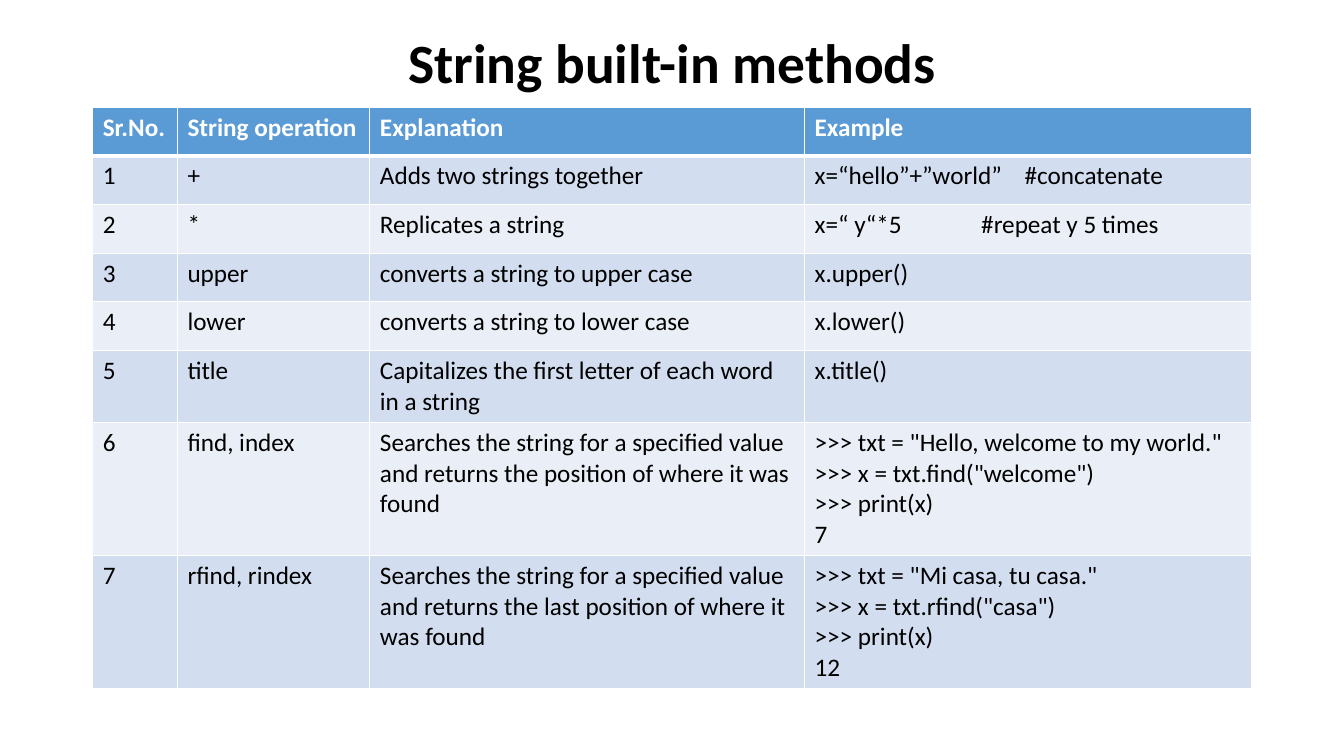
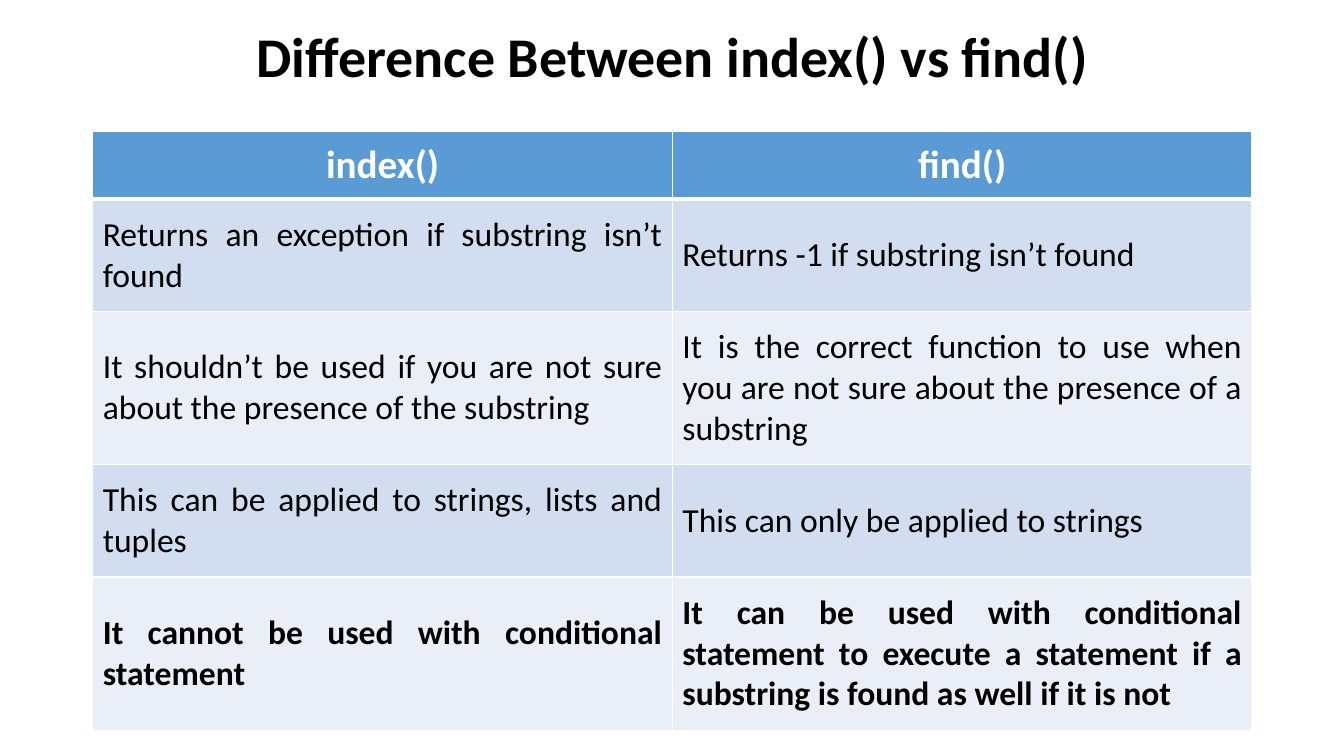
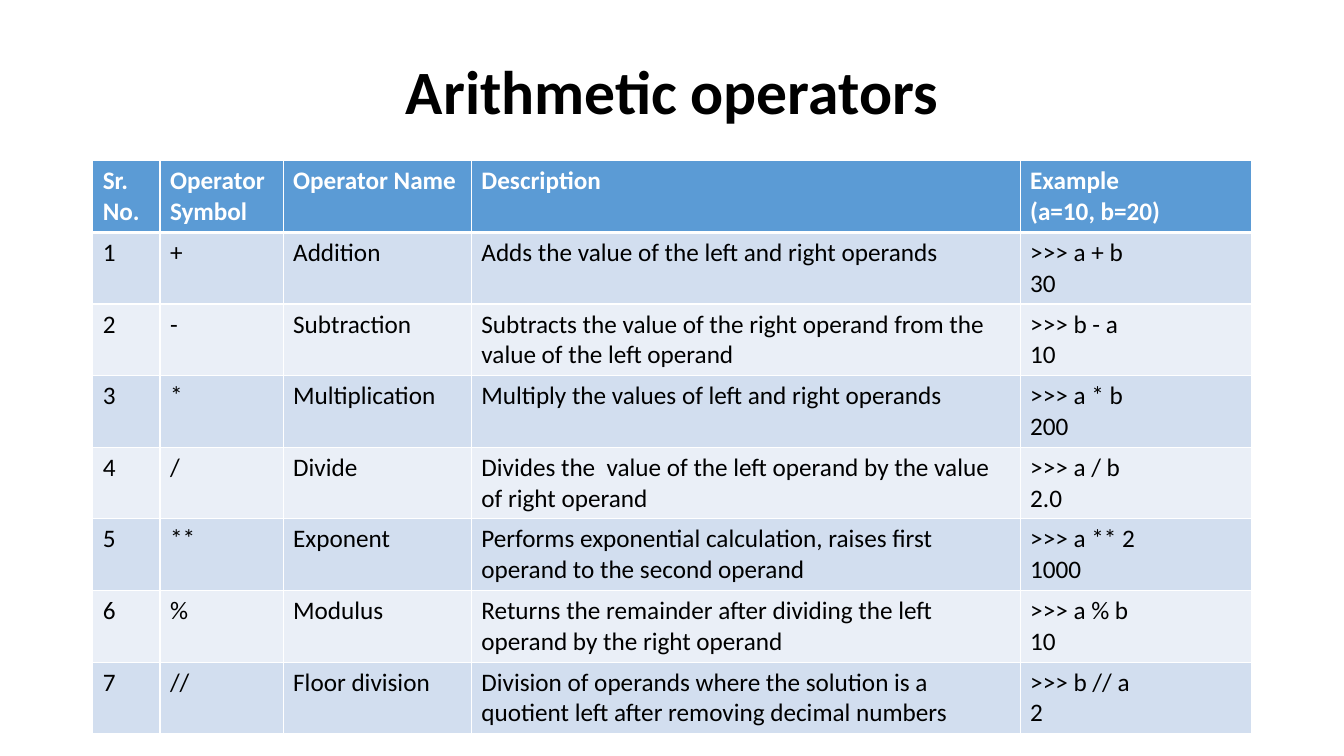
"""Build three slides of Python string and operator tables."""
from dataclasses import dataclass
from lxml.etree import SubElement
from pptx import Presentation
from pptx.dml.color import RGBColor
from pptx.enum.text import MSO_ANCHOR, MSO_AUTO_SIZE, PP_ALIGN
from pptx.oxml.ns import qn
from pptx.util import Pt


@dataclass(frozen=True)
class Theme:
    font: str = "Calibri"
    ink: str = "000000"
    white: str = "FFFFFF"
    head: str = "5B9BD5"
    bands: tuple = ("D2DEEF", "EAEFF7")
    left: float = 66.25
    width: float = 828
    line: float = 1.22
    rule: float = 1
    thick: float = 3
    small: float = 18
    body: float = 24
    large: float = 28


THEME = Theme()
BASE = dict(
    head_size=THEME.small, size=THEME.small, head_pad=3.6, pad=3.6, low=0,
    head_align=PP_ALIGN.LEFT, align=PP_ALIGN.LEFT, anchor=MSO_ANCHOR.TOP,
    bold_rows=(), stops={},
)

SLIDES = [
    dict(
        title="String built-in methods", title_size=39.6, title_top=28.8, title_high=36.7,
        top=76.5, cols=(60.5, 137.5, 310.5, 319.5), low=34.8,
        lines=(1, 1, 1, 1, 1, 2, 4, 4), stops={1: 150, 2: 119},
        rows=[
            ("Sr.No.", "String operation", "Explanation", "Example"),
            ("1", "+", "Adds two strings together", "x=“hello”+”world”\t#concatenate"),
            ("2", "*", "Replicates a string", "x=“ y“*5\t#repeat y 5 times"),
            ("3", "upper", "converts a string to upper case", "x.upper()"),
            ("4", "lower", "converts a string to lower case", "x.lower()"),
            ("5", "title", "Capitalizes the first letter of each word in a string", "x.title()"),
            ("6", "find, index",
             "Searches the string for a specified value and returns the position of where it was found",
             '>>> txt = "Hello, welcome to my world."\n>>> x = txt.find("welcome")\n>>> print(x)\n7'),
            ("7", "rfind, rindex",
             "Searches the string for a specified value and returns the last position of where it was found",
             '>>> txt = "Mi casa, tu casa."\n>>> x = txt.rfind("casa")\n>>> print(x)\n12'),
        ],
    ),
    dict(
        title="Difference Between index() vs find()", title_size=40, title_top=18, title_high=49,
        top=93.6, cols=(414, 414), lines=(1, 2, 3, 2, 3),
        head_size=THEME.large, size=THEME.body, head_pad=7.2, pad=10.8,
        head_align=PP_ALIGN.CENTER, align=PP_ALIGN.JUSTIFY, anchor=MSO_ANCHOR.MIDDLE,
        bold_rows=(4,),
        rows=[
            ("index()", "find()"),
            ("Returns an exception if substring isn’t found", "Returns -1 if substring isn’t found"),
            ("It shouldn’t be used if you are not sure about the presence of the substring",
             "It is the correct function to use when you are not sure about the presence of a substring"),
            ("This can be applied to strings, lists and tuples", "This can only be applied to strings"),
            ("It cannot be used with conditional statement",
             "It can be used with conditional statement to execute a statement if a substring "
             "is found as well if it is not"),
        ],
    ),
    dict(
        title="Arithmetic operators", title_size=44, title_top=28.8, title_high=77.8,
        top=114.8, cols=(48, 88, 134.5, 392, 165.5), lines=(2,) * 8,
        rows=[
            ("Sr. No.", "Operator Symbol", "Operator Name", "Description", "Example\n(a=10, b=20)"),
            ("1", "+", "Addition", "Adds the value of the left and right operands", ">>> a + b\n30"),
            ("2", "-", "Subtraction",
             "Subtracts the value of the right operand from the value of the left operand",
             ">>> b - a\n10"),
            ("3", "*", "Multiplication", "Multiply the values of left and right operands",
             ">>> a * b\n200"),
            ("4", "/", "Divide",
             "Divides the  value of the left operand by the value of right operand",
             ">>> a / b\n2.0"),
            ("5", "**", "Exponent",
             "Performs exponential calculation, raises first operand to the second operand",
             ">>> a ** 2\n1000"),
            ("6", "%", "Modulus",
             "Returns the remainder after dividing the left operand by the right operand",
             ">>> a % b\n10"),
            ("7", "//", "Floor division",
             "Division of operands where the solution is a quotient left after removing decimal numbers",
             ">>> b // a\n2"),
        ],
    ),
]


def write(frame, text, size, color=THEME.ink, bold=False, align=PP_ALIGN.LEFT, space=None, stop=None):
    for num, part in enumerate(text.split("\n")):
        para = frame.add_paragraph() if num else frame.paragraphs[0]
        para.alignment = align
        if space:
            para.line_spacing = space
        if stop and "\t" in part:
            tabs = SubElement(para._p.get_or_add_pPr(), qn("a:tabLst"))
            SubElement(tabs, qn("a:tab"), pos=str(Pt(stop)), algn="l")
        run = para.add_run()
        run.text = part
        font = run.font
        font.name, font.size, font.bold = THEME.font, Pt(size), bold
        font.color.rgb = RGBColor.from_string(color)


def border(cell, above, below):
    props = cell._tc.get_or_add_tcPr()
    for side, width in zip("LRTB", (THEME.rule, THEME.rule, above, below)):
        line = SubElement(props, qn("a:ln" + side), w=str(Pt(width)))
        fill = SubElement(line, qn("a:solidFill"))
        SubElement(fill, qn("a:srgbClr"), val=THEME.white)


def add_title(slide, data):
    title = slide.shapes.title
    title.left, title.top = Pt(THEME.left), Pt(data["title_top"])
    title.width, title.height = Pt(THEME.width), Pt(data["title_high"])
    frame = title.text_frame
    frame.auto_size = MSO_AUTO_SIZE.NONE
    frame.vertical_anchor = MSO_ANCHOR.MIDDLE
    write(frame, data["title"], data["title_size"], bold=True, align=PP_ALIGN.CENTER, space=0.9)


def add_grid(slide, data):
    rows, cols = data["rows"], data["cols"]
    kinds = ["head_" if num == 0 else "" for num in range(len(rows))]
    highs = [
        max(data["low"], round(count * data[kind + "size"] * THEME.line + 2 * data[kind + "pad"], 2))
        for count, kind in zip(data["lines"], kinds)
    ]
    grid = slide.shapes.add_table(
        len(rows), len(cols), Pt(THEME.left), Pt(data["top"]), Pt(sum(cols)), Pt(sum(highs))
    ).table
    for col, width in zip(grid.columns, cols):
        col.width = Pt(width)
    for num, (row, texts, high, kind) in enumerate(zip(grid.rows, rows, highs, kinds)):
        row.height = Pt(high)
        head = num == 0
        for cell, text in zip(row.cells, texts):
            border(cell, THEME.thick if num == 1 else THEME.rule, THEME.thick if head else THEME.rule)
            cell.fill.solid()
            cell.fill.fore_color.rgb = RGBColor.from_string(THEME.head if head else THEME.bands[(num - 1) % 2])
            cell.vertical_anchor = data["anchor"]
            cell.margin_left = cell.margin_right = Pt(7.2)
            cell.margin_top = cell.margin_bottom = Pt(data[kind + "pad"])
            write(
                cell.text_frame, text, data[kind + "size"],
                color=THEME.white if head else THEME.ink,
                bold=head or num in data["bold_rows"],
                align=data[kind + "align"], stop=data["stops"].get(num),
            )


def main():
    deck = Presentation()
    deck.slide_width, deck.slide_height = Pt(960), Pt(540)
    for item in SLIDES:
        data = {**BASE, **item}
        slide = deck.slides.add_slide(deck.slide_layouts[5])
        add_title(slide, data)
        add_grid(slide, data)
    deck.save("out.pptx")


if __name__ == "__main__":
    main()
